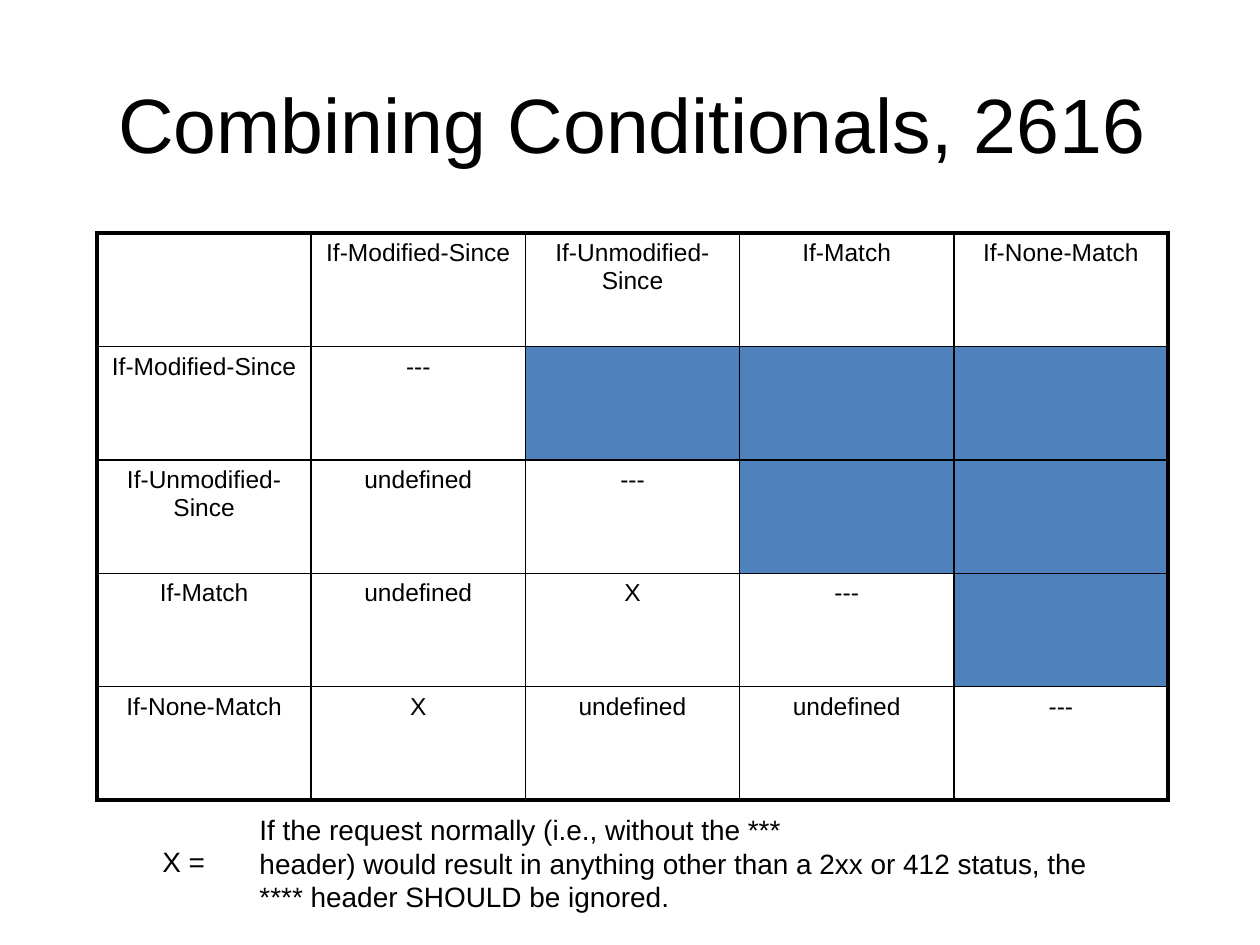
from lxml import etree
from pptx import Presentation
from pptx.dml.color import RGBColor
from pptx.enum import text
from pptx.oxml import ns
from pptx.util import Inches, Pt

BLACK, BLUE = "000000", "4F81BD"


def write(frame, words, size=16, align=text.PP_ALIGN.LEFT, color=BLACK):
    """Fill a text frame, one paragraph per line of words."""
    frame.text = words
    for para in frame.paragraphs:
        para.alignment = align
        for run in para.runs:
            run.font.size = Pt(size)
            run.font.name = "Arial"
            run.font.color.rgb = RGBColor.from_string(color)


def edge(cell, side, width):
    """Draw one border of a cell."""
    line = etree.SubElement(cell._tc.get_or_add_tcPr(), ns.qn("a:ln" + side),
                            w=str(Pt(width)))
    fill = etree.SubElement(line, ns.qn("a:solidFill"))
    etree.SubElement(fill, ns.qn("a:srgbClr"), val=BLACK)


deck = Presentation()
deck.slide_width, deck.slide_height = Inches(10), Inches(7.5)
slide = deck.slides.add_slide(deck.slide_layouts[5])

# Title
title = slide.shapes.title
title.left, title.top = Inches(0.77), Inches(0.35)
title.width, title.height = Inches(8.5), Inches(1.25)
title.text_frame.vertical_anchor = text.MSO_ANCHOR.MIDDLE
write(title.text_frame, "Combining Conditionals, 2616", size=44,
      align=text.PP_ALIGN.CENTER)

# Table: headers name both axes, the upper triangle is shaded
heads = ["If-Modified-Since", "If-Unmodified-Since", "If-Match", "If-None-Match"]
rows = [
    [""] + heads,
    [heads[0], "---"],
    [heads[1], "undefined", "---"],
    [heads[2], "undefined", "X", "---"],
    [heads[3], "X", "undefined", "undefined", "---"],
]
count = len(rows)
last = count - 1
table = slide.shapes.add_table(count, count, Inches(0.77), Inches(1.85),
                               Inches(8.5), Inches(4.5)).table
table.first_row = table.horz_banding = False

for r, row in enumerate(rows):
    for c in range(count):
        cell = table.cell(r, c)
        outer = {"L": c == 0, "R": c == last, "T": r == 0, "B": r == last}
        for side, thick in outer.items():
            edge(cell, side, 2.25 if thick else 1)
        if c < len(row):
            cell.fill.background()
            write(cell.text_frame, row[c], size=14, align=text.PP_ALIGN.CENTER)
        else:
            cell.fill.solid()
            cell.fill.fore_color.rgb = RGBColor.from_string(BLUE)

# Legend: the symbol and its meaning
note = ("If the request normally (i.e., without the ***\n"
        "header) would result in anything other than a 2xx or 412 status, the\n"
        "**** header SHOULD be ignored.")
for words, left, top, width, height, inset in [
    (note, 1.78, 6.4, 7.04, 0.91, 0.28),
    ("X =", 1.19, 6.65, 0.54, 0.37, 0.1),
]:
    box = slide.shapes.add_textbox(Inches(left), Inches(top),
                                   Inches(width), Inches(height))
    frame = box.text_frame
    frame.word_wrap = False
    frame.auto_size = text.MSO_AUTO_SIZE.SHAPE_TO_FIT_TEXT
    frame.margin_left = Inches(inset)
    write(frame, words)

deck.save("out.pptx")
